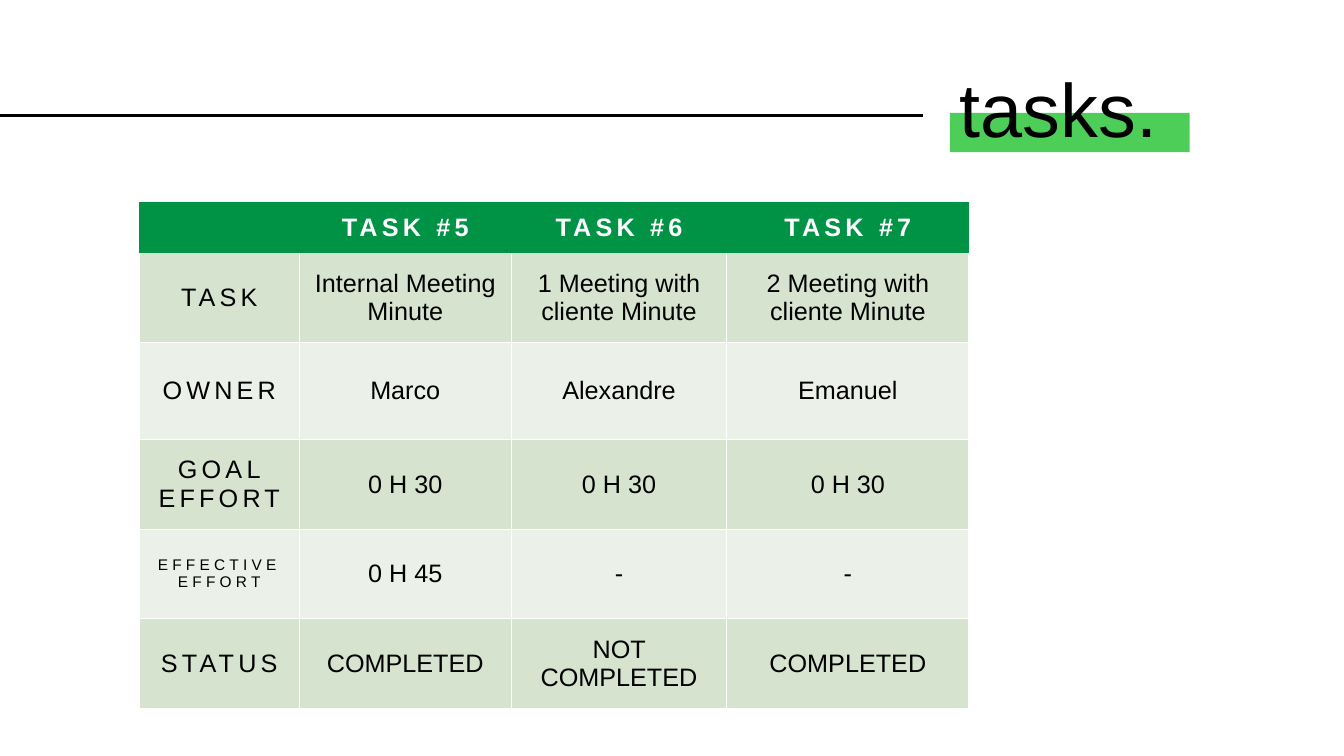
from dataclasses import dataclass

from lxml import etree
from pptx import Presentation
from pptx.dml.color import RGBColor
from pptx.enum import shapes, text
from pptx.oxml import ns
from pptx.util import Inches, Pt


@dataclass(frozen=True)
class Theme:
    font: str = "Arial"
    black: str = "000000"
    white: str = "FFFFFF"
    highlight: str = "4DCE59"
    header: str = "009245"
    bands: tuple = ("D5E3CF", "EBF1E9")
    title_size: int = 54
    cell_size: int = 18
    small_size: int = 11
    label_spacing: int = 3
    rule_width: float = 2.25
    border_width: float = 1


THEME = Theme()
COLUMN_WIDTHS = (1.59, 2.1, 2.14, 2.4)
ROW_HEIGHTS = (0.51, 0.89, 0.96, 0.89, 0.89, 0.89)
TASK_ROWS = (
    ("", "TASK #5", "TASK #6", "TASK #7"),
    ("TASK", "Internal Meeting Minute", "1 Meeting with cliente Minute",
     "2 Meeting with cliente Minute"),
    ("OWNER", "Marco", "Alexandre", "Emanuel"),
    ("GOAL\nEFFORT", "0 H 30", "0 H 30", "0 H 30"),
    ("EFFECTIVE EFFORT", "0 H 45", "-", "-"),
    ("STATUS", "COMPLETED", "NOT COMPLETED", "COMPLETED"),
)
EFFECTIVE_ROW = 4


def rgb(value):
    return RGBColor.from_string(value)


def set_font(font, color, **values):
    font.color.rgb = rgb(color)
    for name, value in {"name": THEME.font, "bold": False, **values}.items():
        setattr(font, name, value)


def add_highlight(slide):
    highlight = slide.shapes.add_shape(
        shapes.MSO_SHAPE.RECTANGLE, Inches(9.42), Inches(1.12), Inches(2.38), Inches(0.39))
    highlight.shadow.inherit = False
    highlight.fill.solid()
    highlight.fill.fore_color.rgb = rgb(THEME.highlight)
    highlight.line.fill.background()


def add_rule(slide):
    rule = slide.shapes.add_connector(
        shapes.MSO_CONNECTOR.STRAIGHT, Inches(0), Inches(1.15), Inches(9.15), Inches(1.15))
    rule.line.color.rgb = rgb(THEME.black)
    rule.line.width = Pt(THEME.rule_width)
    etree.SubElement(rule._element.spPr, ns.qn("a:effectLst"))


def add_title(slide, wording):
    title = slide.shapes.add_textbox(Inches(9.42), Inches(0.4), Inches(2.99), Inches(1.45))
    frame = title.text_frame
    frame.word_wrap = True
    frame.vertical_anchor = text.MSO_ANCHOR.MIDDLE
    frame.text = wording
    frame.paragraphs[0].line_spacing = 0.9
    set_font(frame.paragraphs[0].runs[0].font, THEME.black, size=Pt(THEME.title_size))


def set_borders(cell, hidden_sides):
    """Draw a border on each side of the cell, except the hidden ones."""
    properties = cell._tc.get_or_add_tcPr()
    for position, side in enumerate("LRTB"):
        border = etree.Element(ns.qn(f"a:ln{side}"), w=str(Pt(THEME.border_width)))
        if side in hidden_sides:
            etree.SubElement(border, ns.qn("a:noFill"))
        else:
            fill = etree.SubElement(border, ns.qn("a:solidFill"))
            etree.SubElement(fill, ns.qn("a:srgbClr"), val=THEME.white)
        properties.insert(position, border)


def write_cell(cell, wording, color, size, bold, spacing):
    cell.vertical_anchor = text.MSO_ANCHOR.MIDDLE
    cell.text = wording
    for paragraph in cell.text_frame.paragraphs:
        paragraph.alignment = text.PP_ALIGN.CENTER
        for run in paragraph.runs:
            set_font(run.font, color, size=Pt(size), bold=bold)
            run.font._element.set("spc", str(spacing * 100))


def add_task_table(slide):
    table = slide.shapes.add_table(
        len(ROW_HEIGHTS), len(COLUMN_WIDTHS), Inches(1.38), Inches(2),
        Inches(sum(COLUMN_WIDTHS)), Inches(sum(ROW_HEIGHTS))).table
    for column, width in zip(table.columns, COLUMN_WIDTHS):
        column.width = Inches(width)
    for row, height in zip(table.rows, ROW_HEIGHTS):
        row.height = Inches(height)

    for row_index, wordings in enumerate(TASK_ROWS):
        is_header = row_index == 0
        fill = THEME.header if is_header else THEME.bands[(row_index - 1) % 2]
        hidden_sides = "LRTB" if is_header else "T" if row_index == 1 else ""
        for column_index, wording in enumerate(wordings):
            is_label = column_index == 0
            is_small = is_label and row_index == EFFECTIVE_ROW
            cell = table.cell(row_index, column_index)
            cell.fill.solid()
            cell.fill.fore_color.rgb = rgb(fill)
            set_borders(cell, hidden_sides)
            write_cell(
                cell, wording,
                color=THEME.white if is_header else THEME.black,
                size=THEME.small_size if is_small else THEME.cell_size,
                bold=is_header,
                spacing=THEME.label_spacing if is_header or is_label else 0)


def main():
    deck = Presentation()
    deck.slide_width, deck.slide_height = Inches(13.33), Inches(7.5)
    slide = deck.slides.add_slide(deck.slide_layouts[6])
    add_highlight(slide)
    add_task_table(slide)
    add_rule(slide)
    add_title(slide, "tasks.")
    deck.save("out.pptx")


if __name__ == "__main__":
    main()
